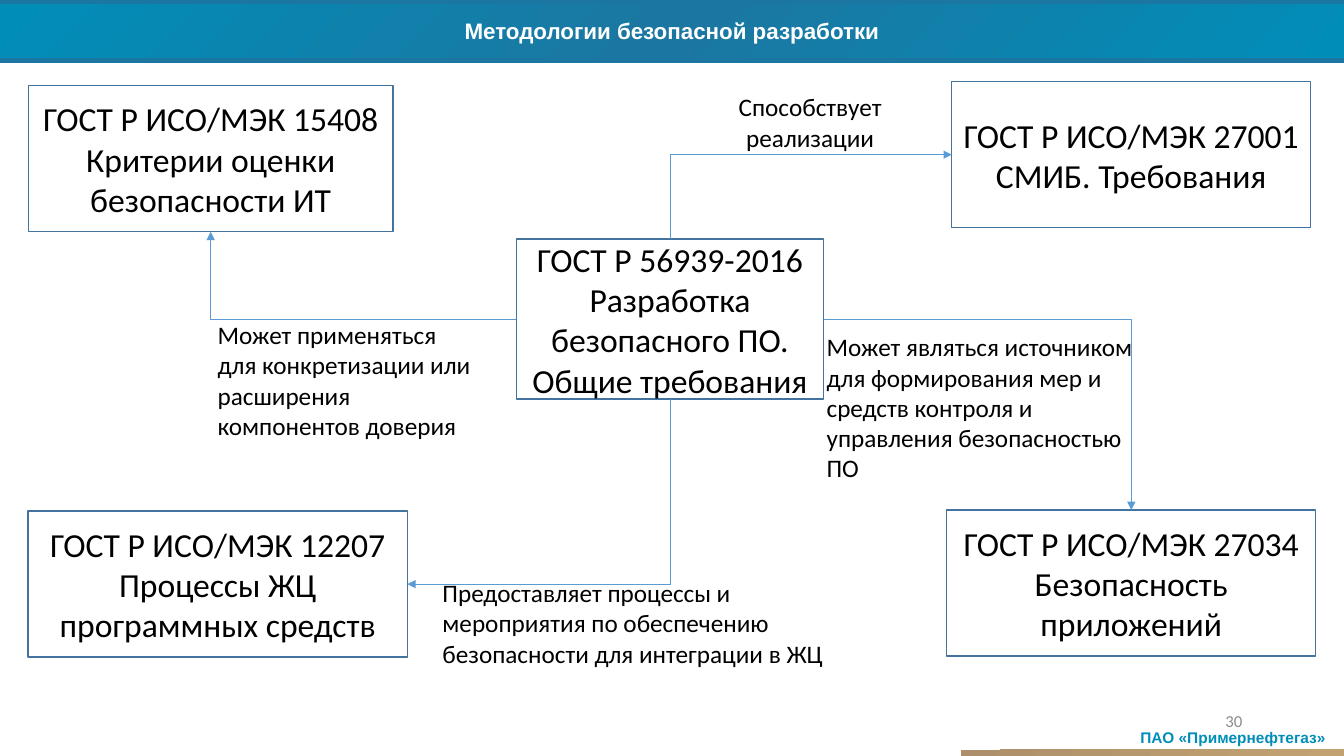
from copy import deepcopy

from lxml.etree import SubElement
from pptx import Presentation
from pptx.dml.color import RGBColor
from pptx.enum.shapes import MSO_CONNECTOR as Link, MSO_SHAPE as Preset
from pptx.enum.text import MSO_ANCHOR as Anchor, MSO_AUTO_SIZE as AutoSize, PP_ALIGN as Align
from pptx.oxml.ns import qn
from pptx.util import Inches, Pt

COLORS = {
    "teal": "008EB9", "deep": "1B77A1", "sand": "AD906B", "light_sand": "C2A271",
    "white": "FFFFFF", "black": "000000", "gray": "8C8C8C",
    "border": "43739E", "arrow": "5B9BD5",
}
WIDTH, HEIGHT = 13.33, 7.5

# Standards: box (left, top, width, height) and paragraphs
CENTER = (5.12, 2.37, 3.05, 1.59)
CRITERIA = (0.28, 0.85, 3.62, 1.45)
SECURITY = (9.44, 0.81, 3.56, 1.45)
PROCESSES = (0.28, 5.07, 3.76, 1.45)
APPLICATIONS = (9.39, 5.06, 3.66, 1.45)
STANDARDS = [
    (CENTER, ["ГОСТ Р 56939-2016", "Разработка безопасного ПО. Общие требования"]),
    (CRITERIA, ["ГОСТ Р ИСО/МЭК 15408", "Критерии оценки безопасности ИТ"]),
    (SECURITY, ["ГОСТ Р ИСО/МЭК 27001", "СМИБ. Требования"]),
    (PROCESSES, ["ГОСТ Р ИСО/МЭК 12207", "Процессы ЖЦ программных средств"]),
    (APPLICATIONS, ["ГОСТ Р ИСО/МЭК 27034", "Безопасность приложений"]),
]
RELATIONS = [
    ((2.06, 3.12, 2.79, 1.31), Align.LEFT,
     "Может применяться для конкретизации или расширения компонентов доверия"),
    ((4.29, 5.68, 4.07, 1.01), Align.LEFT,
     "Предоставляет процессы и мероприятия по обеспечению безопасности для интеграции в ЖЦ"),
    ((8.1, 3.24, 3.29, 1.62), Align.LEFT,
     "Может являться источником для формирования мер и средств контроля "
     "и управления безопасностью ПО"),
    ((6.64, 0.86, 2.79, 0.71), Align.CENTER, "Способствует реализации"),
]


def color(name):
    return RGBColor.from_string(COLORS[name])


def inches(values):
    return [Inches(value) for value in values]


def place(shape, box):
    shape.left, shape.top, shape.width, shape.height = inches(box)


def side(box, across, down):
    """Point at the given fractions of a box."""
    left, top, width, height = box
    return left + across * width, top + down * height


def write(shape, paragraphs, size, ink, font="Calibri", bold=False,
          align=Align.CENTER, anchor=Anchor.MIDDLE, wrap=True):
    frame = shape.text_frame
    frame.word_wrap, frame.vertical_anchor = wrap, anchor
    for index, text in enumerate(paragraphs):
        para = frame.add_paragraph() if index else frame.paragraphs[0]
        para.alignment = align
        run = para.add_run()
        run.text = text
        run.font.name, run.font.size, run.font.bold = font, Pt(size), bold
        run.font.color.rgb = color(ink)


def fill_gradient(shape, names):
    """Spread the colours evenly along a 45 degree gradient."""
    fill = shape.fill
    fill.gradient()
    fill.gradient_angle = 315
    first = fill.gradient_stops[0]
    stop_list = shape._element.spPr.find(qn("a:gradFill")).find(qn("a:gsLst"))
    for _ in names[2:]:
        stop_list.insert(1, deepcopy(stop_list[0]))
    for index, (stop, name) in enumerate(zip(fill.gradient_stops, names)):
        stop.color.rgb = color(name)
        stop.position = index / (len(names) - 1)


def add_line(page, start, end, ink, weight, kind=Link.STRAIGHT):
    line = page.shapes.add_connector(kind, *inches((*start, *end)))
    line.line.color.rgb, line.line.width = color(ink), Pt(weight)
    SubElement(line._element.spPr, qn("a:effectLst"))
    return line


def add_elbow(page, start, end, vertical_first=False):
    """One-bend arrow; a vertical start is a quarter turn about the middle."""
    begin, finish = start, end
    if vertical_first:
        half_x, half_y = (end[0] - start[0]) / 2, (end[1] - start[1]) / 2
        middle_x, middle_y = start[0] + half_x, start[1] + half_y
        begin = middle_x - half_y, middle_y + half_x
        finish = middle_x + half_y, middle_y - half_x
    elbow = add_line(page, begin, finish, "arrow", 0.5, Link.ELBOW)
    properties = elbow._element.spPr
    properties.find(qn("a:prstGeom")).set("prst", "bentConnector2")
    if vertical_first:
        properties.find(qn("a:xfrm")).set("rot", "5400000")
    SubElement(properties.find(qn("a:ln")), qn("a:tailEnd"), type="triangle")


def add_header(page, box):
    left, top, width, height = box
    title = page.shapes.title
    place(title, box)
    fill_gradient(title, ["teal", "deep", "teal"])
    write(title, ["Методологии безопасной разработки"], 16, "white", "Arial", True, wrap=False)
    title.text_frame.auto_size = AutoSize.NONE
    for edge in (top + height + 0.02, top):
        add_line(page, (left, edge), (left + width, edge), "deep", 3)


def add_footer(page, box):
    left, top, width, height = box
    right, bottom = left + width, top + height
    company = page.shapes.add_textbox(*inches((right - 2.2, top + 0.22, 2.2, 0.29)))
    write(company, ["ПАО «Примернефтегаз»"], 11, "teal", "Arial", True, anchor=Anchor.TOP)
    company.text_frame.auto_size = AutoSize.SHAPE_TO_FIT_TEXT
    strip = page.shapes.add_shape(Preset.RECTANGLE, *inches((left + 0.11, bottom - 0.06, 3.8, 0.06)))
    strip.shadow.inherit = False
    fill_gradient(strip, ["sand", "light_sand"])
    strip.line.fill.background()
    number = page.shapes.add_textbox(*inches((left, top, 3, 0.4)))
    write(number, ["30"], 12, "gray", align=Align.RIGHT)


def add_standard(page, box, paragraphs):
    card = page.shapes.add_shape(Preset.RECTANGLE, *inches(box))
    card.shadow.inherit = False
    card.fill.solid()
    card.fill.fore_color.rgb = color("white")
    card.line.color.rgb, card.line.width = color("border"), Pt(1)
    write(card, paragraphs, 24, "black")


def add_relation(page, box, align, text):
    label = page.shapes.add_textbox(*inches(box))
    write(label, [text], 18, "black", align=align, anchor=Anchor.TOP)
    label.text_frame.auto_size = AutoSize.SHAPE_TO_FIT_TEXT


def add_diagram(page):
    for box, paragraphs in STANDARDS:
        add_standard(page, box, paragraphs)
    # Arrows from the central standard to its neighbours
    add_elbow(page, side(CENTER, 0, 0.5), side(CRITERIA, 0.5, 1))
    add_elbow(page, side(CENTER, 0.5, 0), side(SECURITY, 0, 0.5), vertical_first=True)
    add_elbow(page, side(CENTER, 1, 0.5), side(APPLICATIONS, 0.5, 0))
    add_elbow(page, side(CENTER, 0.5, 1), side(PROCESSES, 1, 0.5), vertical_first=True)
    for box, align, text in RELATIONS:
        add_relation(page, box, align, text)


def main():
    deck = Presentation()
    deck.slide_width, deck.slide_height = Inches(WIDTH), Inches(HEIGHT)
    page = deck.slides.add_slide(deck.slide_layouts[5])
    add_header(page, (0, 0.02, WIDTH, 0.56))
    add_footer(page, (9.42, 6.95, WIDTH - 9.42, HEIGHT - 6.95))
    add_diagram(page)
    deck.save("out.pptx")


if __name__ == "__main__":
    main()
